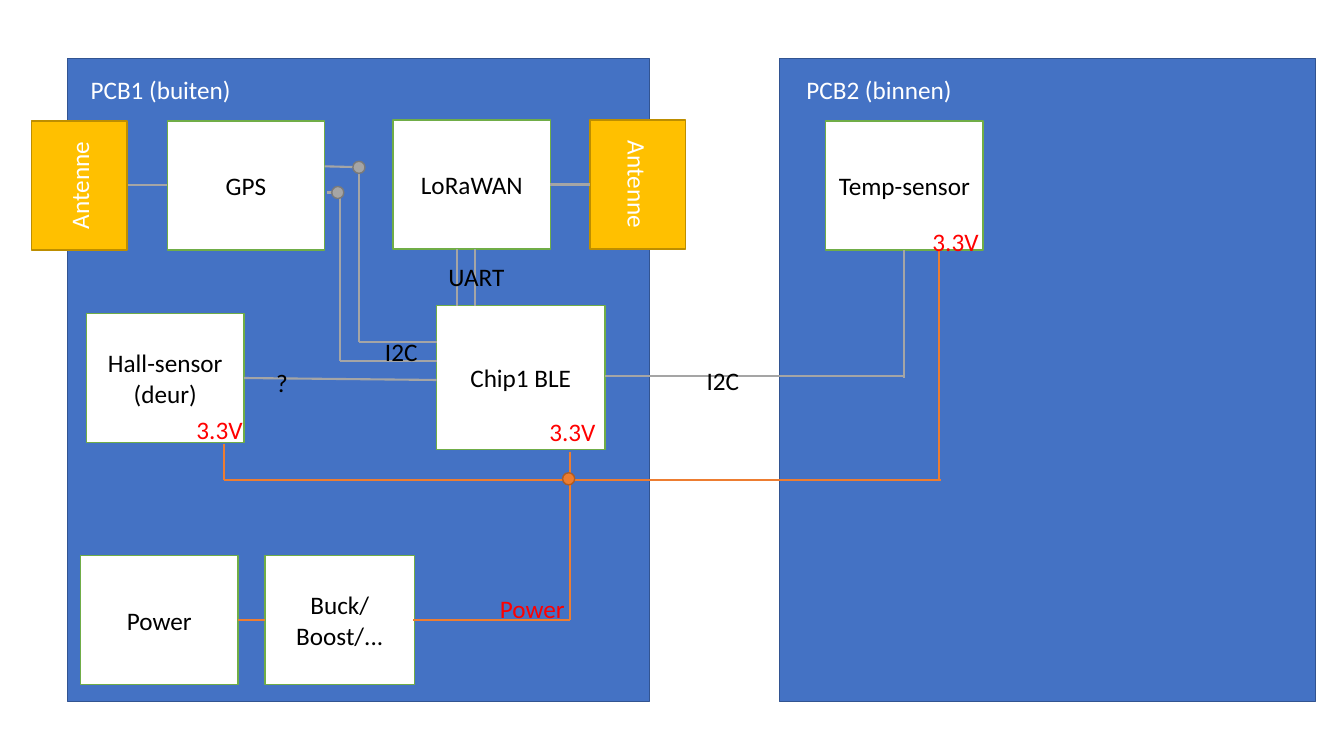
from lxml.etree import SubElement
from pptx import Presentation
from pptx.dml.color import RGBColor
from pptx.enum.shapes import MSO_CONNECTOR, MSO_SHAPE
from pptx.enum.text import MSO_ANCHOR, PP_ALIGN
from pptx.oxml.ns import qn
from pptx.util import Inches, Pt

WHITE, BLACK, RED = "FFFFFF", "000000", "FF0000"
BLUE, GREEN, GRAY, ORANGE = "4472C4", "70AD47", "A5A5A5", "ED7D31"
DOT = 0.12
BOX_W, BOX_H = 1.56, 1.28

PANELS = [(0.67, 5.77), (7.73, 5.32)]
BOXES = [
    ("Chip1 BLE", 4.33, 3.03, 1.67, 1.43),
    ("Power", 0.8, 5.51, BOX_W, BOX_H),
    ("Buck/Boost/...", 2.63, 5.51, 1.48, BOX_H),
    ("Hall-sensor (deur)", 0.86, 3.11, BOX_W, BOX_H),
    ("Temp-sensor", 8.19, 1.2, BOX_W, BOX_H),
    ("GPS", 1.66, 1.2, BOX_W, BOX_H),
    ("LoRaWAN", 3.9, 1.19, BOX_W, BOX_H),
]
ANTENNAS = [(0.31, 1.2, "vert270"), (5.85, 1.19, "vert")]
SIGNAL_LINES = [
    (1.66, 1.84, 1.27, 1.84),
    (5.85, 1.83, 5.45, 1.83),
    (4.33, 3.77, 2.42, 3.75),
    (4.33, 3.39, 3.56, 3.39),
    (4.33, 3.58, 3.37, 3.58),
    (3.37, 1.9, 3.37, 3.58),
    (3.56, 1.65, 3.56, 3.39),
    (3.62, 1.66, 3.22, 1.65),
    (3.41, 1.91, 3.24, 1.91),
    (8.97, 2.48, 8.97, 3.75),
    (8.97, 3.73, 6, 3.73),
    (4.53, 2.47, 4.53, 3.04),
    (4.71, 2.47, 4.71, 3.04),
]
POWER_LINES = [
    (2.36, 6.15, 2.63, 6.15),
    (4.1, 6.15, 5.65, 6.15),
    (5.65, 4.48, 5.65, 6.15),
    (2.22, 4.76, 5.65, 4.76),
    (2.22, 4.76, 2.22, 4.4),
    (5.65, 4.76, 9.33, 4.76),
    (9.31, 4.76, 9.31, 2.47),
]
DOTS = [
    (3.5, 1.6, GRAY, "7A7A7A"),
    (3.29, 1.85, GRAY, "7A7A7A"),
    (5.58, 4.69, ORANGE, "AF5C24"),
]
LABELS = [
    ("PCB1 (buiten)", 0.8, 0.69, 1.62, WHITE, True),
    ("PCB2 (binnen)", 7.9, 0.69, 1.73, WHITE, True),
    ("3.3V", 5.35, 4.08, 0.74, RED, True),
    ("3.3V", 1.85, 4.06, 0.74, RED, True),
    ("3.3V", 9.15, 2.2, 0.74, RED, True),
    ("I2C", 3.72, 3.29, 0.53, BLACK, False),
    ("Power", 4.86, 5.84, 1.07, RED, True),
    ("?", 2.64, 3.59, 0.59, BLACK, True),
    ("I2C", 6.91, 3.58, 0.59, BLACK, True),
    ("UART", 4.35, 2.54, 0.76, BLACK, False),
]


def rgb(color):
    return RGBColor.from_string(color)


def set_attrs(target, values):
    for name, value in values.items():
        setattr(target, name, value)


def write(tf, text, color, align, **frame):
    set_attrs(tf, {"word_wrap": True, **frame})
    p = tf.paragraphs[0]
    p.alignment = align
    r = p.add_run()
    r.text = text
    set_attrs(r.font, {"name": "Calibri", "size": Pt(18)})
    r.font.color.rgb = rgb(color)


def add_block(s, kind, x, y, w, h, fill, line):
    sp = s.shapes.add_shape(kind, Inches(x), Inches(y), Inches(w), Inches(h))
    sp.shadow.inherit = False
    sp.fill.solid()
    sp.fill.fore_color.rgb = rgb(fill)
    sp.line.color.rgb = rgb(line)
    sp.line.width = Pt(1)
    return sp


def add_box(s, text, x, y, w, h, fill=WHITE, line=GREEN, color=BLACK):
    sp = add_block(s, MSO_SHAPE.RECTANGLE, x, y, w, h, fill, line)
    write(sp.text_frame, text, color, PP_ALIGN.CENTER, vertical_anchor=MSO_ANCHOR.MIDDLE)
    return sp


def add_antenna(s, x, y, direction):
    sp = add_box(s, "Antenne", x, y, 0.95, BOX_H, "FFC000", "BD8E00", WHITE)
    sp.text_frame._txBody.bodyPr.set("vert", direction)


def add_wire(s, x1, y1, x2, y2, color):
    wire = s.shapes.add_connector(
        MSO_CONNECTOR.STRAIGHT, Inches(x1), Inches(y1), Inches(x2), Inches(y2))
    wire.line.color.rgb = rgb(color)
    wire.line.width = Pt(1.5)
    SubElement(wire._element.spPr, qn("a:effectLst"))


def add_label(s, text, x, y, w, color, wrap):
    sp = s.shapes.add_textbox(Inches(x), Inches(y), Inches(w), Inches(0.4))
    write(sp.text_frame, text, color, PP_ALIGN.LEFT, word_wrap=wrap)


def main():
    prs = Presentation()
    set_attrs(prs, {"slide_width": Inches(13.33), "slide_height": Inches(7.5)})
    s = prs.slides.add_slide(prs.slide_layouts[6])
    for x, w in PANELS:
        add_block(s, MSO_SHAPE.RECTANGLE, x, 0.58, w, 6.38, BLUE, "325491")
    for box in BOXES:
        add_box(s, *box)
    for antenna in ANTENNAS:
        add_antenna(s, *antenna)
    for lines, color in ((SIGNAL_LINES, GRAY), (POWER_LINES, ORANGE)):
        for ends in lines:
            add_wire(s, *ends, color)
    for x, y, fill, line in DOTS:
        add_block(s, MSO_SHAPE.OVAL, x, y, DOT, DOT, fill, line)
    for label in LABELS:
        add_label(s, *label)
    prs.save("out.pptx")


main()
